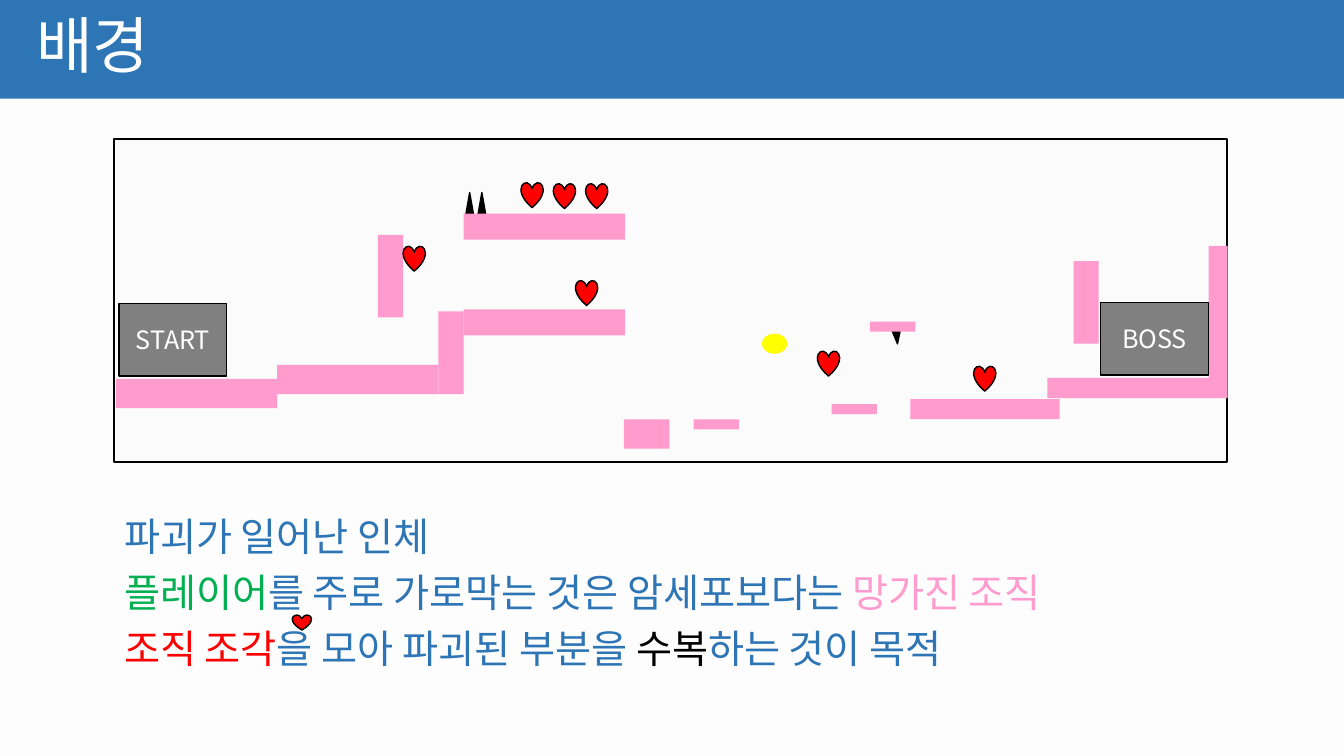
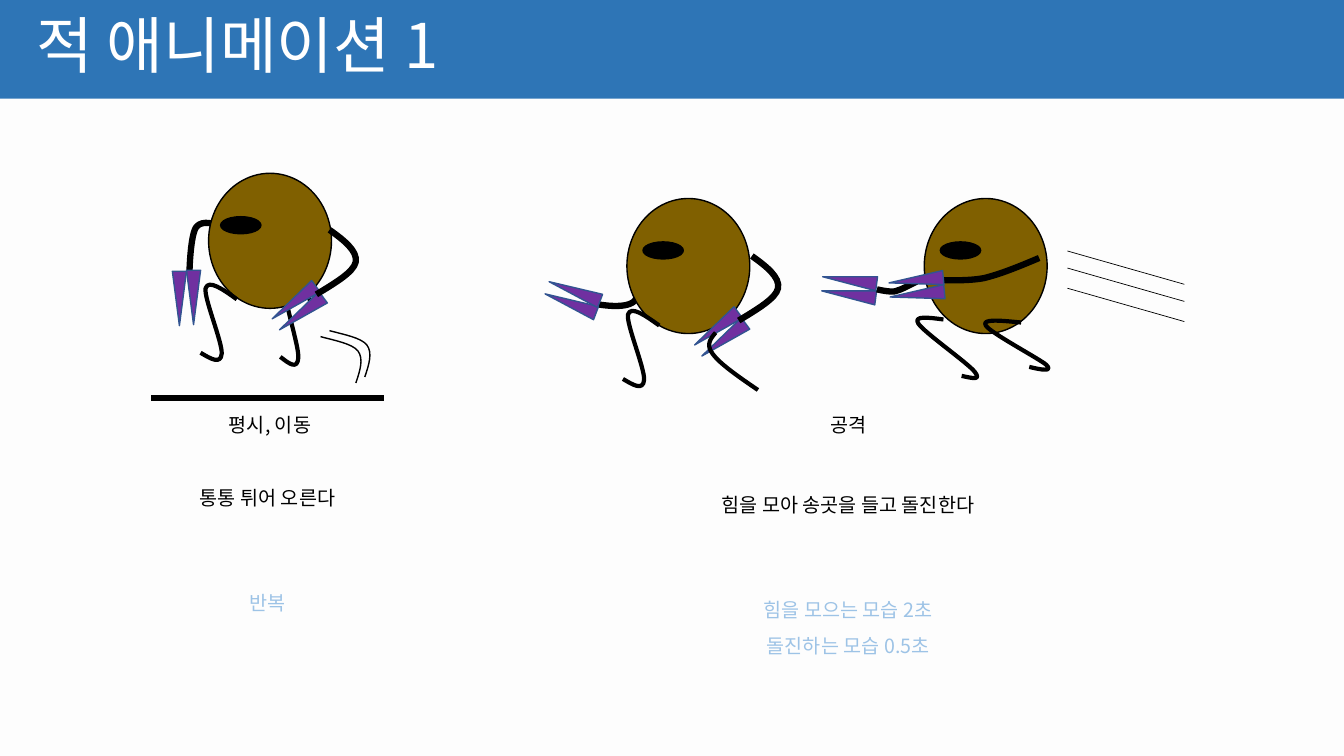
from lxml.etree import SubElement
from pptx import Presentation
from pptx.dml.color import RGBColor
from pptx.enum.shapes import MSO_CONNECTOR, MSO_SHAPE
from pptx.enum.text import MSO_ANCHOR, MSO_AUTO_SIZE, PP_ALIGN
from pptx.oxml.ns import qn
from pptx.util import Pt

FONT = "Noto Sans CJK KR"
BLUE, PAPER, WHITE, BLACK = "2E75B6", "FDFDFD", "FFFFFF", "000000"
PINK, RED, GREEN, YELLOW, GREY = "FF9BCD", "FF0000", "00B050", "FFFF00", "808080"
PALE_BLUE, BROWN, PURPLE, NAVY = "9DC3E6", "806000", "7030A0", "325491"
BAND_HEIGHT = 70.5

PLATFORMS = [
    (82.8, 270.7, 115.2, 20.9), (198, 260.6, 115.2, 20.9),
    (270, 167.8, 18, 59), (313.2, 222.5, 18, 59),
    (331.2, 221, 115.2, 18.7), (331.2, 152.6, 115.2, 18.7),
    (445.7, 299.5, 32.4, 20.9), (495.4, 299.5, 32.4, 7.2),
    (594, 288.7, 32.4, 7.2), (621.4, 229.7, 32.4, 7.2),
    (650.2, 285.1, 106.6, 14.4), (748.1, 270, 128.9, 14.4),
    (766.8, 186.5, 18, 59), (863.3, 175.7, 13.7, 94.3),
]
HEARTS = [(288, 175.7), (411.1, 200.2), (583.9, 250.6), (695.5, 261.4),
          (372.2, 130.3), (395.3, 131), (418.3, 131)]

# Curve points are offsets from the start, three to each Bézier segment.
BENT_ARM = [(10.1, 7.2), (20.2, 15.1), (18.7, 23),
            (17.3, 30.2), (3.6, 38.2), (-9.4, 46.1)]
HANGING_ARM = [(-8.6, -2.9), (-17.3, -5.8), (-21.6, -0.7),
               (-25.9, 4.3), (-26.6, 30.2), (-26.6, 30.2)]
AIMING_ARM = [(-1.4, 15.8), (-3.6, 31.7), (-10.1, 38.2),
              (-17.3, 44.6), (-39.6, 39.6), (-39.6, 39.6)]
FAR_DASH_ARM = [(-5.8, 2.9), (-10.8, 5.8), (-15.8, 7.2),
                (-20.2, 7.9), (-28.8, 5.8), (-28.8, 5.8)]
NEAR_DASH_ARM = [(-13.7, 5.8), (-27.4, 11.5), (-39.6, 14.4),
                 (-51.1, 16.6), (-69.8, 15.8), (-69.8, 15.8)]
FRONT_LEG = [(-10.1, -7.2), (-20.2, -14.4), (-22.3, -7.9),
             (-23.8, -1.4), (-10.1, 31), (-10.8, 38.9),
             (-11.5, 46.8), (-18.7, 42.5), (-25.9, 38.2)]
BACK_LEG = [(-9.4, -7.2), (-18, -15.1), (-19.4, -8.6),
            (-20.9, -2.2), (-9.4, 32.4), (-10.1, 40.3),
            (-10.8, 49), (-16.6, 44.6), (-23, 39.6)]
PUSHING_LEG = [(-3.6, 4.3), (-7.2, 8.6), (-2.2, 15.1),
               (2.9, 22.3), (16.6, 31.7), (30.2, 41)]
FRONT_DASH_LEG = [(-10.8, -1.4), (-21.6, -2.9), (-18, 2.9),
                  (-13.7, 9.4), (17.3, 31), (22.3, 37.4),
                  (27.4, 43.9), (20.2, 41.8), (13, 40.3)]
BACK_DASH_LEG = [(-14.4, -1.4), (-28.8, -2.9), (-25.2, 2.2),
                 (-22.3, 7.2), (13, 25.9), (18, 30.2),
                 (23, 35.3), (14.4, 33.8), (5.8, 31.7)]
BOUNCE = [(10.8, 2.9), (22.3, 5), (26.6, 10.1),
          (31, 15.8), (28.1, 24.5), (25.2, 33.1)]


def rgb(color):
    return RGBColor.from_string(color)


def place(shape, left, top, width, height):
    shape.left, shape.top = Pt(left), Pt(top)
    shape.width, shape.height = Pt(width), Pt(height)


def set_font(font, size, color):
    """Set Latin and East Asian typeface, size and colour."""
    font.name, font.size = FONT, Pt(size)
    font.color.rgb = rgb(color)
    SubElement(font._element, qn("a:ea"), typeface=FONT)


def format_paragraph(para, size, color, align=PP_ALIGN.LEFT, before=0):
    properties = para._p.get_or_add_pPr()
    properties.set("marL", "0")
    properties.set("indent", "0")
    SubElement(properties, qn("a:buNone"))
    para.alignment = align
    para.line_spacing = 0.9
    para.space_before = Pt(before)
    set_font(para.font, size, color)


def add_shape(slide, kind, box, fill, line=None, weight=1, rotation=0):
    shape = slide.shapes.add_shape(kind, *map(Pt, box))
    shape.shadow.inherit = False
    shape.rotation = rotation
    shape.fill.solid()
    shape.fill.fore_color.rgb = rgb(fill)
    if line:
        shape.line.color.rgb = rgb(line)
        shape.line.width = Pt(weight)
    else:
        shape.line.fill.background()
    return shape


def add_curve(slide, left, top, offsets, weight):
    """Draw an open Bézier outline from a start point and offsets."""
    builder = slide.shapes.build_freeform(Pt(left), Pt(top))
    points = [(Pt(left + x), Pt(top + y)) for x, y in offsets]
    builder.add_line_segments(points, close=False)
    curve = builder.convert_to_shape()
    segments = list(curve._element.iter(qn("a:lnTo")))
    for first, second, third in zip(*[iter(segments)] * 3):
        first.tag = qn("a:cubicBezTo")
        for segment in (second, third):
            first.append(segment[0])
            segment.getparent().remove(segment)
    curve.shadow.inherit = False
    curve.fill.background()
    curve.line.color.rgb = rgb(BLACK)
    curve.line.width = Pt(weight)


def add_line(slide, start, end, weight):
    line = slide.shapes.add_connector(
        MSO_CONNECTOR.STRAIGHT, *map(Pt, start + end))
    line.line.color.rgb = rgb(BLACK)
    line.line.width = Pt(weight)
    SubElement(line._element.spPr, qn("a:effectLst"))


def add_caption(slide, box, rows):
    """Add centred rows, each given as text, colour and space before."""
    frame = slide.shapes.add_textbox(*map(Pt, box)).text_frame
    frame.word_wrap = True
    for index, (text, color, before) in enumerate(rows):
        para = frame.add_paragraph() if index else frame.paragraphs[0]
        para.text = text
        format_paragraph(para, 14, color, PP_ALIGN.CENTER, before)


def add_heart(slide, left, top, width=15.8, height=18):
    add_shape(slide, MSO_SHAPE.HEART, (left, top, width, height), RED, BLACK)


def add_spike(slide, box, rotation=0):
    return add_shape(slide, MSO_SHAPE.ISOSCELES_TRIANGLE, box, BLACK, BLACK,
                     rotation=rotation)


def add_room(slide, left, top, name):
    room = add_shape(slide, MSO_SHAPE.RECTANGLE, (left, top, 77, 51.8),
                     GREY, BLACK)
    frame = room.text_frame
    frame.vertical_anchor = MSO_ANCHOR.MIDDLE
    frame.word_wrap = False
    para = frame.paragraphs[0]
    para.text = name
    para.alignment = PP_ALIGN.CENTER
    set_font(para.font, 18, WHITE)


def add_claws(slide, angle, *corners):
    """Add claws that point down when the angle is zero."""
    for left, top in corners:
        add_shape(slide, MSO_SHAPE.ISOSCELES_TRIANGLE, (left, top, 10.1, 38.9),
                  PURPLE, NAVY, rotation=(angle + 180) % 360)


def add_head(slide, left, top, eye_inset):
    add_shape(slide, MSO_SHAPE.OVAL, (left, top, 87.8, 96.5), BROWN, BLACK)
    add_shape(slide, MSO_SHAPE.OVAL, (left + eye_inset, top + 31, 28.8, 12.2),
              BLACK, BLACK)


def add_near_limbs(slide, left, top):
    """Add the bent arm with its claws, and the front leg."""
    add_claws(slide, 53.3, (left + 61.2, top + 80.7), (left + 56, top + 72.8))
    add_curve(slide, left + 86.4, top + 40.4, BENT_ARM, 4.5)
    add_curve(slide, left + 20.2, top + 90, FRONT_LEG, 3)


def style_master(deck):
    """Put the band, the paper and the title position on the master."""
    master = deck.slide_master
    master.background.fill.solid()
    master.background.fill.fore_color.rgb = rgb(BLUE)
    place(master.placeholders[0], 18.7, 0, 828, 69.8)


def add_paper(deck, slide):
    """Draw the paper on a slide and hand it over to the master."""
    paper = add_shape(slide, MSO_SHAPE.RECTANGLE,
                      (0, BAND_HEIGHT, 960, 540 - BAND_HEIGHT), PAPER)
    deck.slide_master.shapes._spTree.insert(2, paper._element)


def add_page(deck, layout_index, title):
    slide = deck.slides.add_slide(deck.slide_layouts[layout_index])
    frame = slide.shapes.title.text_frame
    frame.auto_size = MSO_AUTO_SIZE.NONE
    frame.vertical_anchor = MSO_ANCHOR.MIDDLE
    frame.text = title
    format_paragraph(frame.paragraphs[0], 44, WHITE)
    return slide


def fill_body(slide, rows):
    body = slide.placeholders[1]
    place(body, 81.4, 365.8, 794.9, 147.6)
    frame = body.text_frame
    frame.auto_size = MSO_AUTO_SIZE.NONE
    for index, spans in enumerate(rows):
        para = frame.add_paragraph() if index else frame.paragraphs[0]
        format_paragraph(para, 28, BLUE, before=10)
        for text, color in spans:
            span = para.add_run()
            span.text = text
            span.font.color.rgb = rgb(color)


def build_background_page(deck):
    slide = add_page(deck, 1, "배경")
    add_paper(deck, slide)
    fill_body(slide, [
        [("파괴가 일어난 인체", BLUE)],
        [("플레이어", GREEN), ("를 주로 가로막는 것은 암세포보다는 ", BLUE),
         ("망가진 조직", PINK)],
        [("조직 조각", RED), ("을 모아 파괴된 부분을 ", BLUE),
         ("수복", BLACK), ("하는 것이 목적", BLUE)],
    ])
    add_shape(slide, MSO_SHAPE.RECTANGLE, (81.4, 99.4, 794.9, 230.4),
              "FBFBFB", BLACK, 1.5)
    for left in (332.6, 341.3):
        add_spike(slide, (left, 137.5, 5.8, 16.6))
    add_spike(slide, (637.2, 236.2, 5.8, 9.4), 180).adjustments[0] = 0.34
    for box in PLATFORMS:
        add_shape(slide, MSO_SHAPE.RECTANGLE, box, PINK)
    add_shape(slide, MSO_SHAPE.OVAL, (544.3, 238.3, 18, 14.4), YELLOW)
    for left, top in HEARTS:
        add_heart(slide, left, top)
    add_room(slide, 85, 216.7, "START")
    add_room(slide, 786.2, 216, "BOSS")
    add_heart(slide, 208.8, 439.2, 13.7, 10.8)


def draw_moving_enemy(slide):
    add_curve(slide, 223.2, 215.3, BACK_LEG, 3)
    add_curve(slide, 162, 162.7, HANGING_ARM, 4.5)
    add_head(slide, 149, 123.8, 8.6)
    add_claws(slide, 0, (133.2, 193), (123.1, 193.7))
    add_near_limbs(slide, 149, 123.8)
    add_line(slide, (108, 284.4), (274.3, 284.4), 4.5)
    for left, top in ((229, 240.5), (235.4, 236.2)):
        add_curve(slide, left, top, BOUNCE, 1)


def draw_charging_enemy(slide):
    add_curve(slide, 463, 177.1, AIMING_ARM, 4.5)
    add_head(slide, 447.8, 141.8, 11.5)
    add_claws(slide, 110.7, (402.5, 197.3), (405.4, 188.6))
    add_near_limbs(slide, 450.7, 142.5)
    add_curve(slide, 511.2, 237.6, PUSHING_LEG, 3)


def draw_dashing_enemy(slide):
    add_head(slide, 660.2, 141.8, 11.5)
    add_claws(slide, 97.4, (601.2, 190.8), (601.9, 180.7))
    add_curve(slide, 655.2, 200.9, FAR_DASH_ARM, 4.5)
    add_curve(slide, 742.3, 184.3, NEAR_DASH_ARM, 4.5)
    add_claws(slide, 84.4, (650.2, 190.8), (649.4, 180.7))
    add_curve(slide, 673.9, 228.2, FRONT_DASH_LEG, 3)
    add_curve(slide, 729.4, 230.4, BACK_DASH_LEG, 3)
    for top in (179.3, 191.5, 205.9):
        add_line(slide, (762.5, top), (846, top + 23.8), 0.5)


def build_enemy_page(deck):
    slide = add_page(deck, 5, "적 애니메이션 1")
    draw_moving_enemy(slide)
    draw_charging_enemy(slide)
    draw_dashing_enemy(slide)
    add_caption(slide, (149, 293, 87.8, 28), [("평시, 이동", BLACK, 10)])
    add_caption(slide, (567.4, 293, 77, 28), [("공격", BLACK, 10)])
    add_caption(slide, (58.3, 345.6, 265.7, 177), [
        ("통통 튀어 오른다", BLACK, 10), ("반복", PALE_BLUE, 60)])
    add_caption(slide, (473, 350.6, 265.7, 177), [
        ("힘을 모아 송곳을 들고 돌진한다", BLACK, 10),
        ("힘을 모으는 모습 2초", PALE_BLUE, 60),
        ("돌진하는 모습 0.5초", PALE_BLUE, 10)])


def main():
    deck = Presentation()
    deck.slide_width, deck.slide_height = Pt(960), Pt(540)
    style_master(deck)
    build_background_page(deck)
    build_enemy_page(deck)
    deck.save("out.pptx")


if __name__ == "__main__":
    main()
